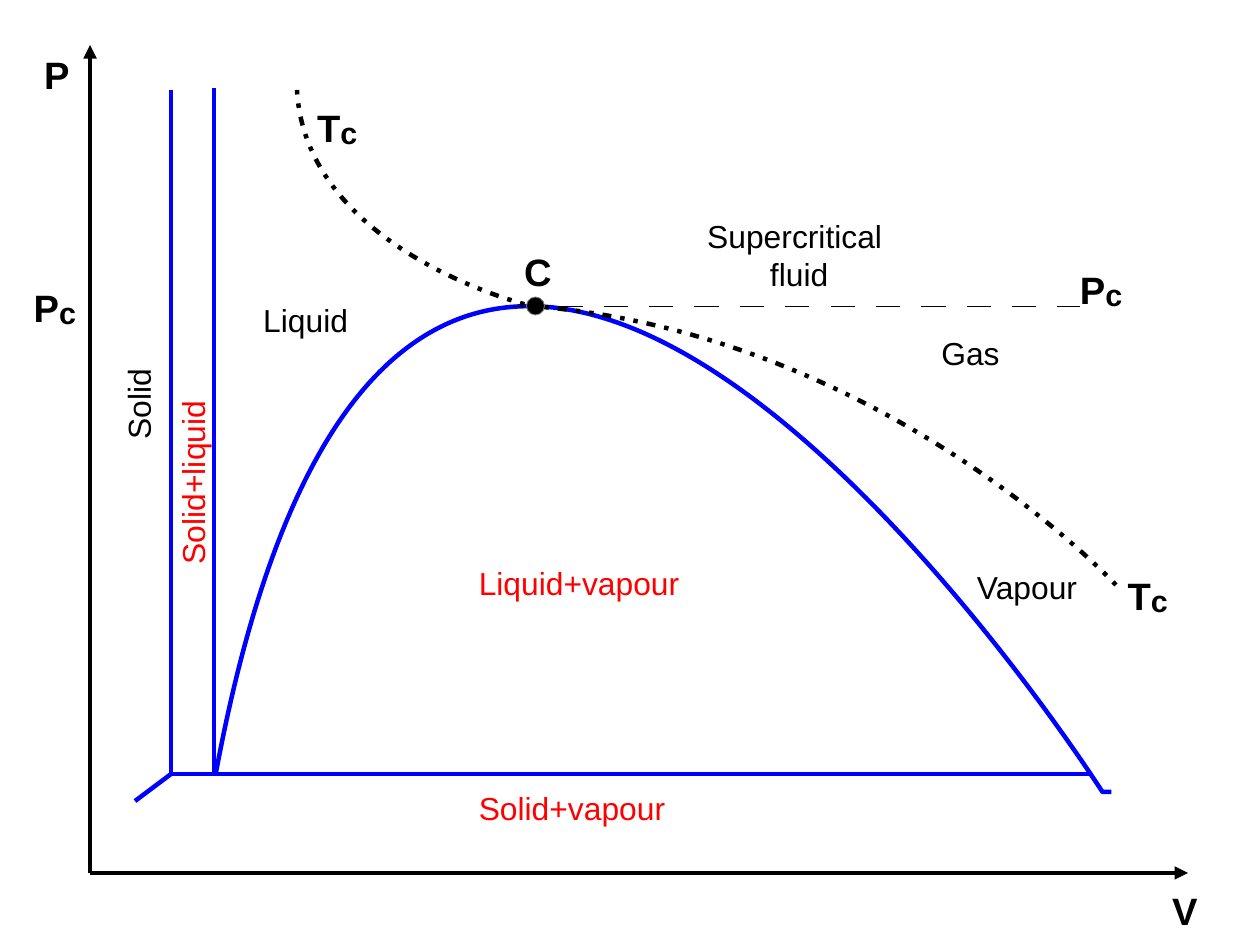
import pptx
import pptx.dml.color
import pptx.enum.shapes
import pptx.enum.text
import pptx.oxml
import pptx.oxml.ns
import pptx.util
from pptx.util import Cm

BLACK, BLUE, RED, GREY = "000000", "0000FF", "FF0000", "808080"
THICK, THIN = 2.83, 0.5

# Content: all positions in centimetres
ORIGIN = (2, 19.4)
AXIS_ENDS = [(2, 1), (26.4, 19.4)]
CRITICAL = (11.8, 6.8)
CRITICAL_DOT = (11.7, 6.6, 0.4, 0.4)

PHASE_LINES = [
    ((3, 17.8), (3.8, 17.2)),
    ((3.8, 2), (3.8, 17.2)),
    ((4.75, 1.95), (4.75, 17.15)),
    ((3.8, 17.2), (24.2, 17.2)),
]
CRITICAL_ISOBAR = ((11.4, 6.8), (24, 6.8))

# Bezier curves: start, two control points, end
DOME = [(4.8, 17.17), (9.2, -6.4), (24.5, 17.6), (24.5, 17.6)]
DOME_TAIL = (24.7, 17.6)
ISOTHERMS = [
    [(6.6, 2), (6.8, 5.6), CRITICAL, CRITICAL],
    [CRITICAL, (19.6, 7.4), (24.8, 13), (24.8, 13)],
]

# Dash and gap lengths in multiples of the line width
ISOBAR_DASHES = [(30, 26)]
ISOTHERM_DASHES = [(1, 2), (1, 2), (2, 2)]

# Symbol, subscript, left, top, width, height
SYMBOLS = [
    ("V", "", 25.8, 19.6, 1.07, 1.2),
    ("P", "", 0.73, 1.02, 1.07, 1.2),
    ("C", "", 11.4, 5.4, 1.12, 1.2),
    ("P", "c", 0.5, 5.87, 1.45, 1.32),
    ("P", "c", 23.75, 5.47, 1.45, 1.32),
    ("T", "c", 24.81, 12.28, 1.4, 1.32),
    ("T", "c", 6.8, 1.87, 1.4, 1.32),
]

# Text, colour, left, top, width, height, rotation
REGIONS = [
    ("Solid+vapour", RED, 10.39, 17.4, 4.65, 1.04, 0),
    ("Liquid+vapour", RED, 10.39, 12.4, 4.98, 1.04, 0),
    ("Vapour", BLACK, 21.46, 12.5, 2.74, 1.04, 0),
    ("Gas", BLACK, 20.67, 7.3, 1.8, 1.04, 0),
    ("Supercritical \nfluid", BLACK, 15.46, 4.7, 4.6, 1.83, 0),
    ("Liquid", BLACK, 5.6, 6.55, 2.39, 1.04, 0),
    ("Solid", BLACK, 2, 8.46, 2.08, 1.04, 270),
    ("Solid+liquid", RED, 2.18, 10.2, 4.14, 1.04, 270),
]

presentation = pptx.Presentation()
presentation.slide_width, presentation.slide_height = Cm(28), Cm(21)
slide = presentation.slides.add_slide(presentation.slide_layouts[6])
shapes = slide.shapes


def rgb(value):
    return pptx.dml.color.RGBColor.from_string(value)


def add_xml(parent, tag, **attributes):
    element = pptx.oxml.parse_xml(f"<a:{tag} {pptx.oxml.ns.nsdecls('a')}/>")
    for name, value in attributes.items():
        element.set(name, str(value))
    parent.append(element)
    return element


def style_line(shape, color, width, dashes=(), arrow=False):
    shape.line.color.rgb = rgb(color)
    shape.line.width = pptx.util.Pt(width)
    line = shape._element.spPr.get_or_add_ln()
    if dashes:
        pattern = add_xml(line, "custDash")
        for dash, gap in dashes:
            add_xml(pattern, "ds", d=dash * 100000, sp=gap * 100000)
    if arrow:
        add_xml(line, "tailEnd", type="triangle")


def add_line(start, end, color, width, **style):
    connector = shapes.add_connector(
        pptx.enum.shapes.MSO_CONNECTOR.STRAIGHT,
        *(Cm(value) for value in (*start, *end)))
    style_line(connector, color, width, **style)
    add_xml(connector._element.spPr, "effectLst")


def add_curve(bezier, color, peak=None, tail=None, **style):
    # Straight outline through the extremes sets the frame of the shape
    start, *controls = [(Cm(x), Cm(y)) for x, y in bezier]
    before_end = [peak] if peak else []
    after_end = [tail] if tail else []
    outline = [*before_end, bezier[-1], *after_end]
    builder = shapes.build_freeform(*start)
    builder.add_line_segments([(Cm(x), Cm(y)) for x, y in outline], close=False)
    curve = builder.convert_to_shape()

    # The segments from start to end become one Bezier segment
    segments = curve._element.findall(".//" + pptx.oxml.ns.qn("a:lnTo"))
    replaced = segments[:len(before_end) + 1]
    outline_parent = replaced[0].getparent()
    bend = add_xml(outline_parent, "cubicBezTo")
    for x, y in controls:
        add_xml(bend, "pt", x=x - curve.left, y=y - curve.top)
    replaced[0].addprevious(bend)
    for segment in replaced:
        outline_parent.remove(segment)

    curve.shadow.inherit = False
    curve.fill.background()
    style_line(curve, color, THICK, **style)


def style_run(run, color, size, bold):
    run.font.name = "Arial"
    run.font.size = pptx.util.Pt(size)
    run.font.bold = bold
    run.font.color.rgb = rgb(color)


def add_label(text, color, size, box, bold=False, rotation=0):
    label = shapes.add_textbox(*(Cm(value) for value in box))
    label.rotation = rotation
    frame = label.text_frame
    frame.word_wrap = False
    frame.auto_size = pptx.enum.text.MSO_AUTO_SIZE.SHAPE_TO_FIT_TEXT
    frame.text = text
    for paragraph in frame.paragraphs:
        if len(frame.paragraphs) > 1:
            paragraph.alignment = pptx.enum.text.PP_ALIGN.CENTER
        for run in paragraph.runs:
            style_run(run, color, size, bold)
    return frame


# Axes
for axis_end in AXIS_ENDS:
    add_line(ORIGIN, axis_end, BLACK, THICK, arrow=True)

# Phase boundaries
for start, end in PHASE_LINES:
    add_line(start, end, BLUE, THICK)
add_curve(DOME, BLUE, peak=CRITICAL, tail=DOME_TAIL)

# Critical isobar, isotherm and point
add_line(*CRITICAL_ISOBAR, BLACK, THIN, dashes=ISOBAR_DASHES)
for isotherm in ISOTHERMS:
    add_curve(isotherm, BLACK, dashes=ISOTHERM_DASHES)
critical_point = shapes.add_shape(
    pptx.enum.shapes.MSO_SHAPE.OVAL, *(Cm(value) for value in CRITICAL_DOT))
critical_point.shadow.inherit = False
critical_point.fill.solid()
critical_point.fill.fore_color.rgb = rgb(BLACK)
style_line(critical_point, GREY, THIN)

# Symbols with lowered subscripts
for symbol, subscript, *box in SYMBOLS:
    frame = add_label(symbol, BLACK, 24, box, bold=True)
    if subscript:
        run = frame.paragraphs[0].add_run()
        run.text = subscript
        style_run(run, BLACK, 33.1, True)
        run._r.get_or_add_rPr().set("baseline", "-4000")

# Region names
for text, color, *box, rotation in REGIONS:
    add_label(text, color, 20, box, rotation=rotation)

presentation.save("out.pptx")
